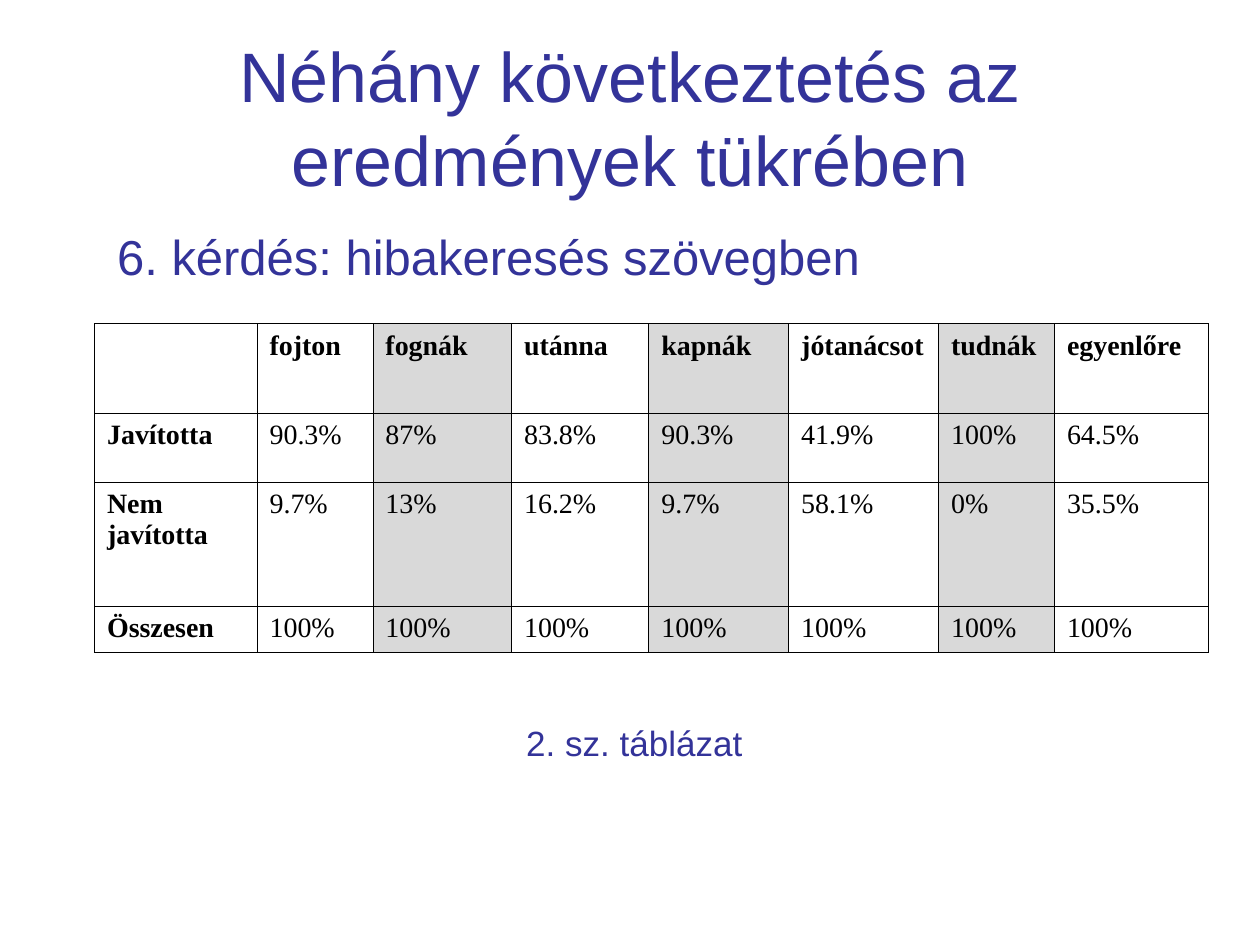
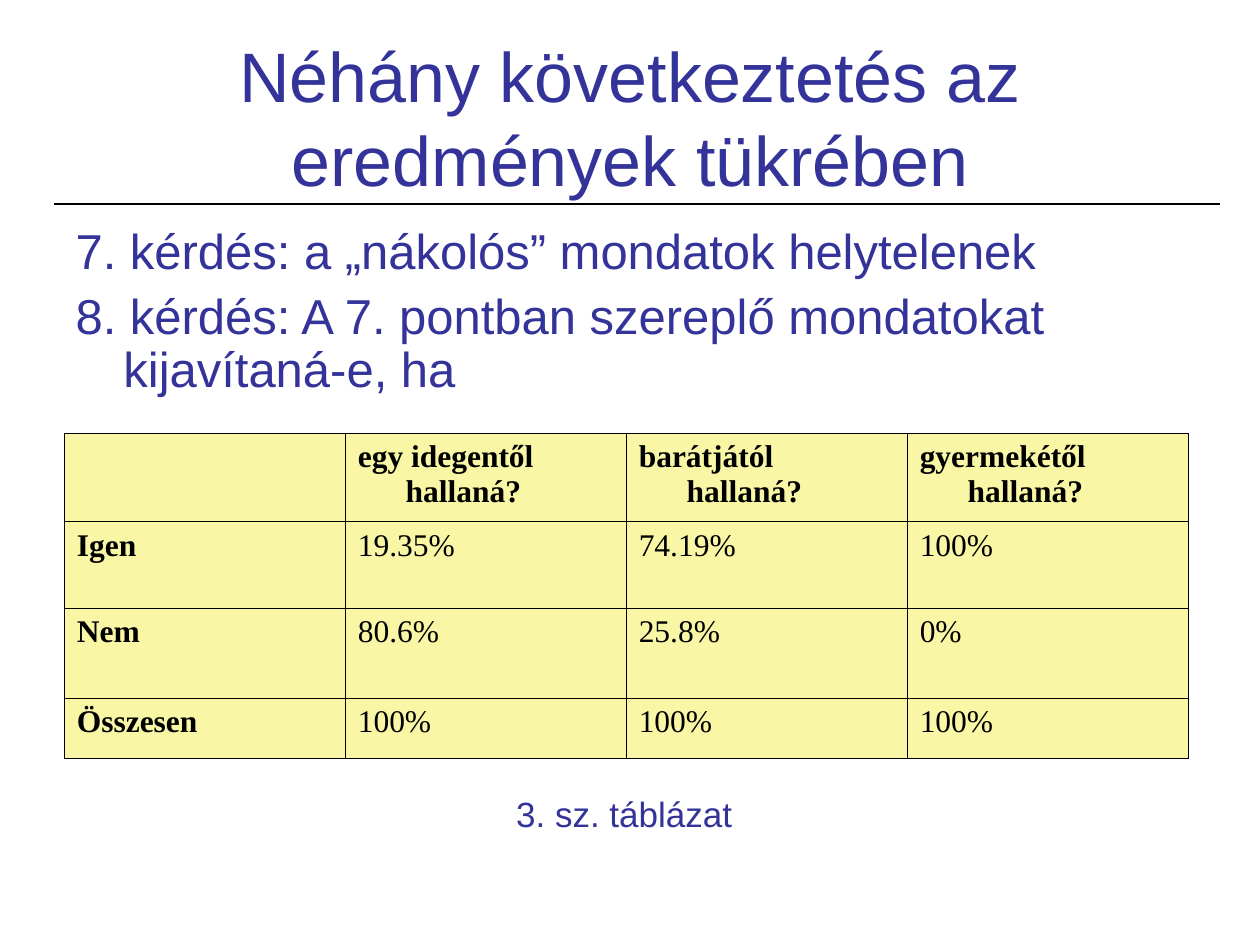
from pptx import Presentation
from pptx.dml.color import RGBColor
from pptx.enum.shapes import MSO_CONNECTOR
from pptx.enum.text import MSO_ANCHOR, MSO_AUTO_SIZE, PP_ALIGN
from pptx.oxml.ns import qn
from pptx.util import Inches, Pt
from lxml import etree

STRAIGHT = MSO_CONNECTOR.STRAIGHT
TOP, MIDDLE = MSO_ANCHOR.TOP, MSO_ANCHOR.MIDDLE
NO_AUTOFIT = MSO_AUTO_SIZE.NONE
LEFT, CENTER, JUSTIFY = PP_ALIGN.LEFT, PP_ALIGN.CENTER, PP_ALIGN.JUSTIFY

INDIGO, BLACK, GRAY, YELLOW = "333399", "000000", "D9D9D9", "F9F7A5"
SANS, SERIF = "Arial", "Times New Roman"
TITLE = "Néhány következtetés az eredmények tükrében"
HANGING = (0.38, -0.38)


def rgb(value):
    """Turn a hex string into a colour."""
    return RGBColor.from_string(value)


def apply(target, values):
    """Set each attribute of the target from a dict."""
    for name, value in values.items():
        setattr(target, name, value)


class Deck:
    """Hold the shared style and the current slide."""

    def __init__(self):
        """Start an empty 10 by 7.5 inch presentation."""
        self.presentation = Presentation()
        self.presentation.slide_width = Inches(10)
        self.presentation.slide_height = Inches(7.5)
        self.slide = None

    def format(self, paragraph, size, font=SANS, color=INDIGO, bold=False,
               indent=(0, 0), **spacing):
        """Format one paragraph and its font."""
        apply(paragraph, spacing)
        apply(paragraph.font, {"size": Pt(size), "name": font, "bold": bold})
        paragraph.font.color.rgb = rgb(color)
        properties = paragraph._p.get_or_add_pPr()
        for name, length in zip(("marL", "indent"), indent):
            properties.set(name, str(Inches(length)))

    def place(self, shape, left, top, width, height, anchor):
        """Move a placeholder and set its text frame."""
        apply(shape, {"left": Inches(left), "top": Inches(top),
                      "width": Inches(width), "height": Inches(height)})
        apply(shape.text_frame, {"word_wrap": True, "auto_size": NO_AUTOFIT,
                                 "vertical_anchor": anchor})

    def add_slide(self):
        """Add a slide with the shared title."""
        layout = self.presentation.slide_layouts[1]
        self.slide = self.presentation.slides.add_slide(layout)
        title = self.slide.shapes.title
        title.text_frame.text = TITLE
        self.place(title, 0.5, 0.3, 9, 1.25, MIDDLE)
        self.format(title.text_frame.paragraphs[0], 40, alignment=CENTER)

    def body(self, questions, caption, width, height, gap, indent, line_spacing):
        """Fill the body with questions and, after a gap, a table caption."""
        body = self.slide.placeholders[1]
        self.place(body, 0.5, 1.75, width, height, TOP)
        frame = body.text_frame
        frame.text = "\n".join([*questions, caption])
        *question_paragraphs, caption_paragraph = frame.paragraphs
        for paragraph in question_paragraphs:
            self.format(paragraph, 28, indent=indent, alignment=LEFT,
                        space_before=Pt(7), line_spacing=line_spacing)
        self.format(caption_paragraph, 20, indent=HANGING, alignment=CENTER,
                    space_before=Pt(gap), line_spacing=line_spacing)
        for paragraph in frame.paragraphs:
            etree.SubElement(paragraph._p.get_or_add_pPr(), qn("a:buNone"))

    def borders(self, cell):
        """Draw thin black lines around a cell."""
        properties = cell._tc.get_or_add_tcPr()
        for side in ("a:lnL", "a:lnR", "a:lnT", "a:lnB"):
            line = etree.SubElement(properties, qn(side), w=str(Pt(0.45)))
            fill = etree.SubElement(line, qn("a:solidFill"))
            etree.SubElement(fill, qn("a:srgbClr"), val=BLACK)

    def fill(self, cell, color, opacity):
        """Fill a cell, or leave it clear when there is no colour."""
        if color is None:
            cell.fill.background()
            return
        cell.fill.solid()
        cell.fill.fore_color.rgb = rgb(color)
        if opacity < 100:
            color_element = cell._tc.tcPr.find(".//" + qn("a:srgbClr"))
            etree.SubElement(color_element, qn("a:alpha"), val=str(opacity * 1000))

    def table(self, left, top, rows, widths, heights, fills, size, alignment,
              indent=(0, 0), opacity=100):
        """Add a table with bold headings and one fill per column."""
        frame = self.slide.shapes.add_table(
            len(heights), len(widths), Inches(left), Inches(top),
            Inches(sum(widths)), Inches(sum(heights)))
        table = frame.table
        apply(table, {"first_row": False, "horz_banding": False})
        for column, width in zip(table.columns, widths):
            column.width = Inches(width)
        for row, height in zip(table.rows, heights):
            row.height = Inches(height)
        for row_index, texts in enumerate(rows):
            for column_index, text in enumerate(texts):
                cell = table.cell(row_index, column_index)
                cell.text = text
                for paragraph in cell.text_frame.paragraphs:
                    self.format(paragraph, size, SERIF, BLACK,
                                bold=row_index == 0 or column_index == 0,
                                indent=indent, alignment=alignment)
                self.borders(cell)
                self.fill(cell, fills[column_index], opacity)

    def rule(self, left, right, top):
        """Draw a horizontal line."""
        line = self.slide.shapes.add_connector(
            STRAIGHT, Inches(left), Inches(top), Inches(right), Inches(top))
        line.line.color.rgb = rgb(BLACK)
        line.line.width = Pt(0.75)
        etree.SubElement(line._element.spPr, qn("a:effectLst"))


def error_search_slide(deck):
    """Build the slide on finding errors in a text."""
    deck.add_slide()
    deck.body(["6. kérdés: hibakeresés szövegben"], "2. sz. táblázat",
              9.07, 5.23, gap=249, indent=(0.33, 0), line_spacing=1.0)
    rows = [
        ["", "fojton", "fognák", "utánna", "kapnák", "jótanácsot", "tudnák", "egyenlőre"],
        ["Javította", "90.3%", "87%", "83.8%", "90.3%", "41.9%", "100%", "64.5%"],
        ["Nem\njavította", "9.7%", "13%", "16.2%", "9.7%", "58.1%", "0%", "35.5%"],
        ["Összesen"] + ["100%"] * 7,
    ]
    deck.table(0.75, 2.57, rows,
               widths=[1.29, 0.92, 1.1, 1.09, 1.11, 1.19, 0.92, 1.22],
               heights=[0.71, 0.55, 0.98, 0.37],
               fills=[None, None] + [GRAY, None] * 3,
               size=16, alignment=JUSTIFY)


def correction_slide(deck):
    """Build the slide on correcting other speakers."""
    deck.add_slide()
    deck.body(["7. kérdés: a „nákolós” mondatok helytelenek",
               "8. kérdés: A 7. pontban szereplő mondatokat kijavítaná-e, ha"],
              "3. sz. táblázat",
              8.91, 5.31, gap=228, indent=HANGING, line_spacing=0.9)
    rows = [
        ["", "egy idegentől hallaná?", "barátjától hallaná?", "gyermekétől hallaná?"],
        ["Igen", "19.35%", "74.19%", "100%"],
        ["Nem", "80.6%", "25.8%", "0%"],
        ["Összesen"] + ["100%"] * 3,
    ]
    deck.table(0.51, 3.44, rows, widths=[2.23] * 4,
               heights=[0.7, 0.69, 0.71, 0.48], fills=[YELLOW] * 4,
               size=18, alignment=LEFT, indent=HANGING, opacity=50)
    deck.rule(0.43, 9.68, 1.62)


def main():
    """Build and save the presentation."""
    deck = Deck()
    error_search_slide(deck)
    correction_slide(deck)
    deck.presentation.save("out.pptx")


if __name__ == "__main__":
    main()
